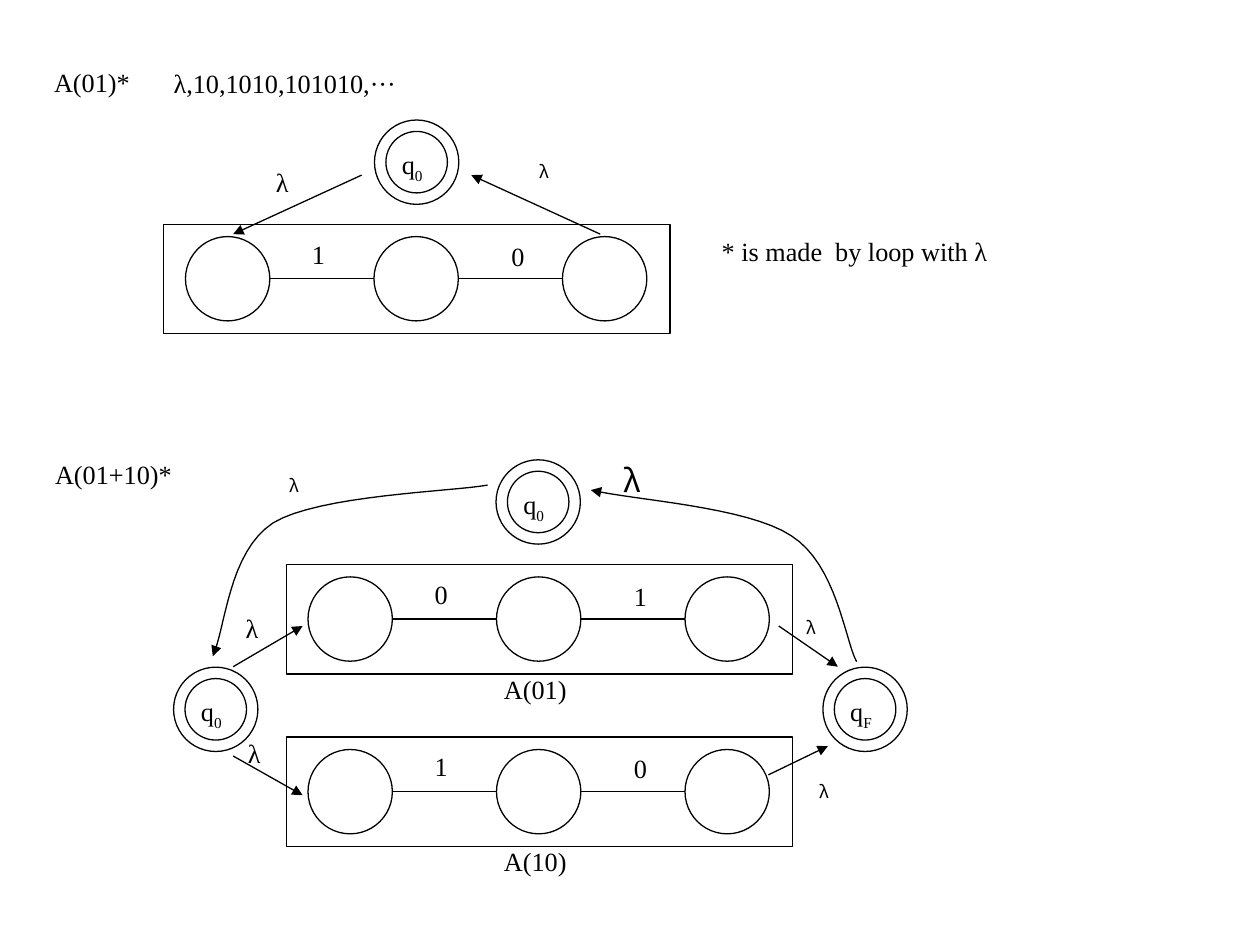
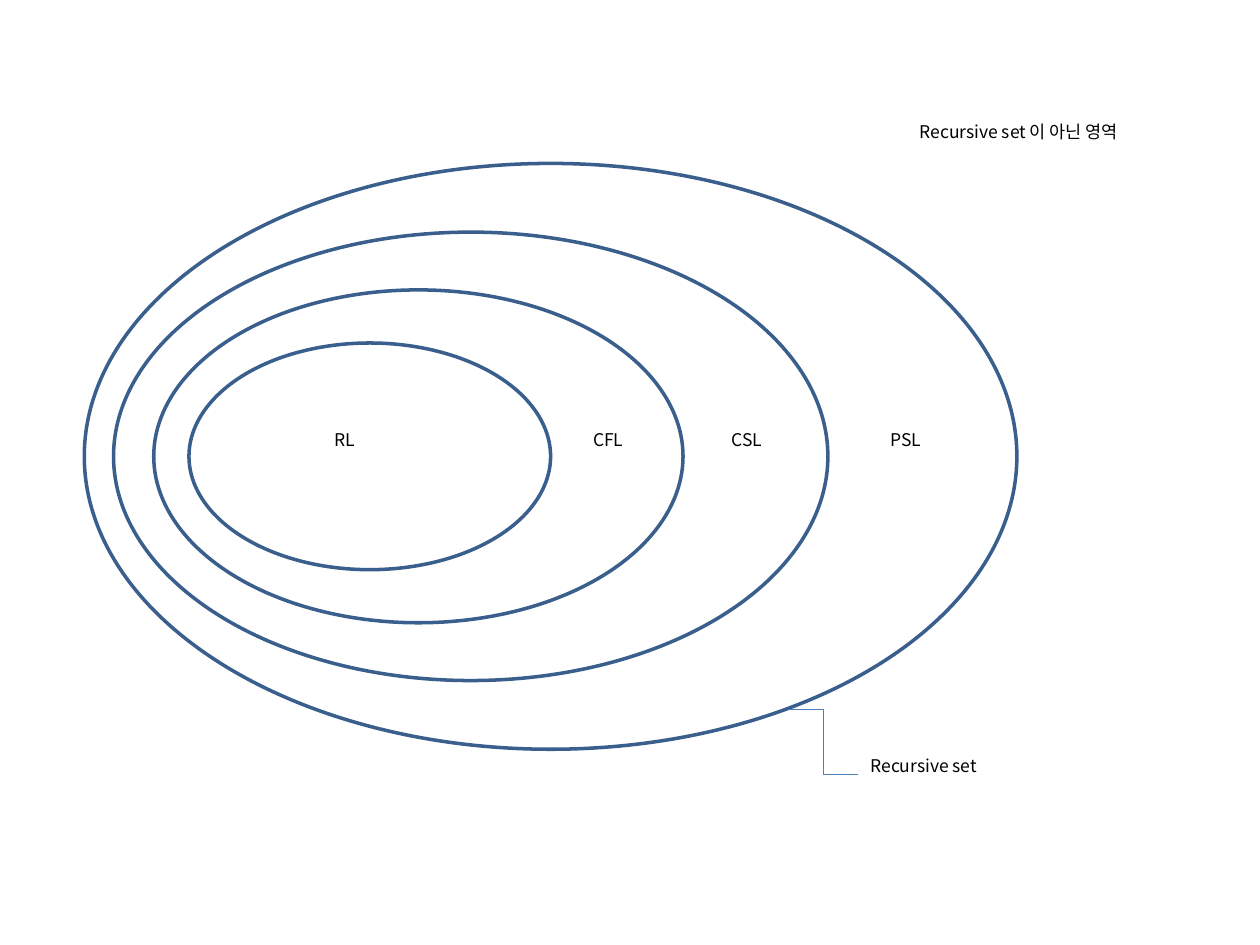
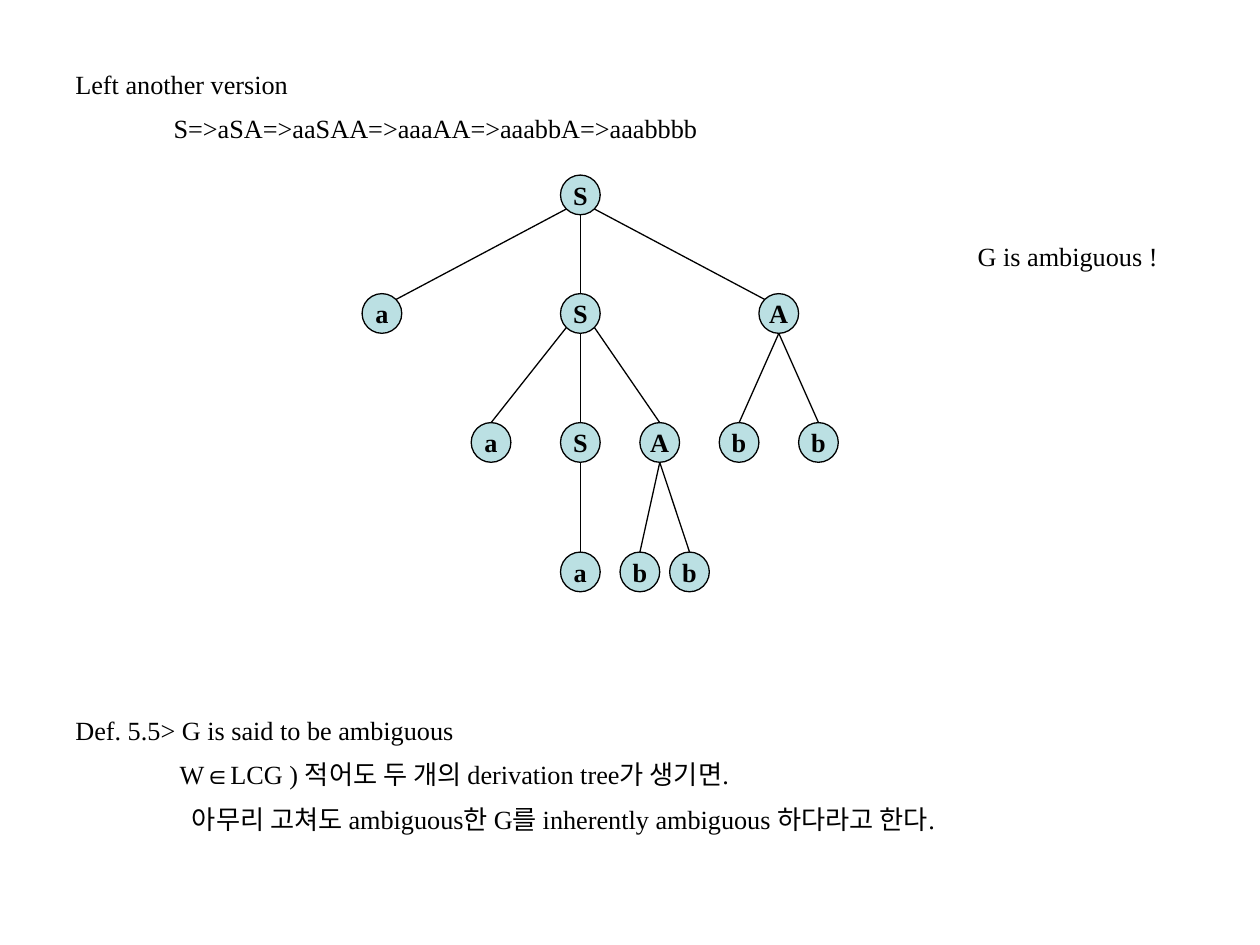
import lxml.etree
import pptx
import pptx.dml.color
import pptx.enum.shapes
import pptx.enum.text
import pptx.oxml.ns
import pptx.shapes.connector
import pptx.util

Cm = pptx.util.Cm
OVAL = pptx.enum.shapes.MSO_SHAPE.OVAL
RECTANGLE = pptx.enum.shapes.MSO_SHAPE.RECTANGLE
STRAIGHT = pptx.enum.shapes.MSO_CONNECTOR.STRAIGHT
ELBOW = pptx.enum.shapes.MSO_CONNECTOR.ELBOW
BLACK = pptx.dml.color.RGBColor(0x00, 0x00, 0x00)
NAVY = pptx.dml.color.RGBColor(0x3A, 0x5F, 0x8C)
BLUE = pptx.dml.color.RGBColor(0x4B, 0x7E, 0xBC)
PALE_TEAL = pptx.dml.color.RGBColor(0xBB, 0xE0, 0xE3)
SERIF = "Times New Roman"
SANS = "Noto Sans CJK KR"


def write(shape, text, size=15, font=SERIF, bold=False, wrap=True, centred=False,
          subscript="", indents=(0,), line_spacing=None, space_before=0):
    frame = shape.text_frame
    frame.word_wrap = wrap
    if centred:
        frame.vertical_anchor = pptx.enum.text.MSO_ANCHOR.MIDDLE
    for number, (line, indent) in enumerate(zip(text.split("\n"), indents)):
        paragraph = frame.add_paragraph() if number else frame.paragraphs[0]
        paragraph.alignment = pptx.enum.text.PP_ALIGN.CENTER if centred else pptx.enum.text.PP_ALIGN.LEFT
        paragraph.line_spacing = line_spacing
        paragraph.space_before = pptx.util.Pt(space_before)
        if indent:
            paragraph._p.get_or_add_pPr().set("marL", str(Cm(indent)))
        for part in filter(None, (line, subscript)):
            run = paragraph.add_run()
            run.text = part
            run.font.size = pptx.util.Pt(size)
            run.font.name = font
            run.font.bold = bold
            run.font.color.rgb = BLACK
            properties = run._r.get_or_add_rPr()
            lxml.etree.SubElement(properties, pptx.oxml.ns.qn("a:ea"), typeface=SANS)
            if part == subscript:
                properties.set("baseline", "-25000")


def outline(mark, color=BLACK, width=0.75, fill=None, arrow=False):
    mark.line.color.rgb = color
    mark.line.width = pptx.util.Pt(width)
    properties = mark._element.spPr
    if arrow:
        lxml.etree.SubElement(properties.get_or_add_ln(), pptx.oxml.ns.qn("a:tailEnd"), type="triangle")
    if isinstance(mark, pptx.shapes.connector.Connector):
        lxml.etree.SubElement(properties, pptx.oxml.ns.qn("a:effectLst"))
        return
    mark.shadow.inherit = False
    if fill is None:
        mark.fill.background()
    else:
        mark.fill.solid()
        mark.fill.fore_color.rgb = fill


deck = pptx.Presentation()
deck.slide_width = Cm(25.4)
deck.slide_height = Cm(19.05)
blank = deck.slide_layouts[6]

automata = deck.slides.add_slide(blank).shapes
STATE, INNER_STATE, STATE_STEP = 1.7, 1.24, 3.8

for left, top, symbols in [(3.3, 4.52, "10"), (5.77, 11.38, "01"), (5.77, 14.86, "10")]:
    outline(automata.add_shape(RECTANGLE, Cm(left), Cm(top), Cm(10.21), Cm(2.21)))
    first_state, state_top = left + 0.44, top + 0.25
    for column in range(3):
        state_left = first_state + column * STATE_STEP
        outline(automata.add_shape(OVAL, Cm(state_left), Cm(state_top), Cm(STATE), Cm(STATE)))
    for column, symbol in enumerate(symbols):
        link_left = first_state + column * STATE_STEP + STATE
        link_y = Cm(state_top + STATE / 2)
        outline(automata.add_connector(STRAIGHT, Cm(link_left), link_y,
                                       Cm(link_left + STATE_STEP - STATE), link_y))
        symbol_box = automata.add_textbox(Cm(left + 2.74 + column * 4.02), Cm(top + 0.15 + column * 0.04),
                                          Cm(0.79), Cm(0.89))
        write(symbol_box, symbol, wrap=False)

for left, top, index in [(7.55, 2.42, "0"), (10.0, 9.27, "0"), (3.5, 13.45, "0"), (16.59, 13.45, "F")]:
    inset = (STATE - INNER_STATE) / 2
    outline(automata.add_shape(OVAL, Cm(left), Cm(top), Cm(STATE), Cm(STATE)))
    outline(automata.add_shape(OVAL, Cm(left + inset), Cm(top + inset), Cm(INNER_STATE), Cm(INNER_STATE)))
    write(automata.add_textbox(Cm(left + 0.3), Cm(top + 0.45), Cm(0.97), Cm(0.89)),
          "q", subscript=index, wrap=False)

for jump in [(12.1, 4.72, 9.5, 3.53), (7.29, 3.53, 4.7, 4.72), (4.7, 13.44, 6.1, 12.62),
             (4.7, 15.24, 6.1, 16.03), (15.7, 12.62, 16.89, 13.44), (15.49, 15.62, 16.69, 15.04)]:
    outline(automata.add_connector(STRAIGHT, *map(Cm, jump)), arrow=True)

return_loop = [(17.27, 13.34), (17.04, 12.93), (16.87, 11.38), (15.95, 10.8),
               (15.06, 10.21), (12.75, 10.08), (11.91, 9.88)]
entry_loop = [(9.83, 9.78), (9.12, 9.91), (6.43, 9.98), (5.51, 10.54),
              (4.6, 11.13), (4.55, 12.67), (4.29, 13.23)]
for loop in (return_loop, entry_loop):
    path_points = []
    for start in (0, 3):
        for step in range(1, 17):
            t = step / 16
            weights = ((1 - t) ** 3, 3 * t * (1 - t) ** 2, 3 * t ** 2 * (1 - t), t ** 3)
            path_points.append([Cm(sum(w * point[axis] for w, point in zip(weights, loop[start:start + 4])))
                                for axis in (0, 1)])
    builder = automata.build_freeform(*map(Cm, loop[0]))
    builder.add_line_segments(path_points, close=False)
    outline(builder.convert_to_shape(), arrow=True)

for text, box, size, font, wrap in [
    ("A(01)*", (0.84, 1.22, 2.03, 0.89), 15, SERIF, False),
    ("λ,10,1010,101010,···", (3.25, 1.24, 7.04, 0.89), 15, SERIF, True),
    ("* is made  by loop with λ", (14.3, 4.62, 6.05, 0.89), 15, SERIF, False),
    ("A(01+10)*", (0.86, 9.12, 2.9, 0.89), 15, SERIF, False),
    ("A(01)", (9.91, 13.44, 1.78, 0.89), 15, SERIF, False),
    ("A(10)", (9.91, 16.92, 1.78, 0.89), 15, SERIF, False),
    ("λ", (4.7, 12.22, 1.14, 1.55), 15, SERIF, True),
    ("λ", (4.75, 14.73, 1.14, 1.55), 15, SERIF, True),
    ("λ", (5.31, 3.23, 1.14, 1.55), 15, SERIF, True),
    ("λ", (10.62, 3.12, 1.88, 0.69), 10, SANS, True),
    ("λ", (5.59, 9.45, 1.19, 0.69), 10, SANS, True),
    ("λ", (12.32, 9.17, 0.76, 0.69), 18, SANS, False),
    ("λ", (16.0, 12.32, 1.17, 0.69), 10, SANS, True),
    ("λ", (16.28, 15.62, 2.11, 0.69), 10, SANS, True),
]:
    write(automata.add_textbox(*map(Cm, box)), text, size=size, font=font, wrap=wrap)

hierarchy = deck.slides.add_slide(blank).shapes
SETS_MIDDLE = 9.2

for left, width, height in [(1.7, 18.8, 11.81), (2.29, 14.4, 9.04), (3.1, 10.67, 6.71), (3.81, 7.29, 4.57)]:
    language_set = hierarchy.add_shape(OVAL, Cm(left), Cm(SETS_MIDDLE - height / 2), Cm(width), Cm(height))
    outline(language_set, color=NAVY, width=2)

for text, left, top, width in [("RL", 6.5, 8.53, 1.83), ("CFL", 11.71, 8.53, 2.39), ("CSL", 14.5, 8.53, 2.39),
                               ("PSL", 17.7, 8.53, 2.39), ("Recursive set", 17.3, 15.09, 4.8),
                               ("Recursive set 이 아닌 영역", 18.29, 2.31, 5.21)]:
    write(hierarchy.add_textbox(Cm(left), Cm(top), Cm(width), Cm(0.69)), text, size=10, font=SANS)

outline(hierarchy.add_connector(ELBOW, Cm(15.9), Cm(14.3), Cm(17.3), Cm(15.62)), color=BLUE)

derivation = deck.slides.add_slide(blank).shapes

for text, box, indents in [
    ("Left another version\nS=>aSA=>aaSAA=>aaaAA=>aaabbA=>aaabbbb", (1.27, 1.12, 22.86, 2.0), (0, 1.98)),
    ("G is ambiguous !", (19.46, 4.59, 4.67, 1.0), (0,)),
    ("Def. 5.5> G is said to be ambiguous\n"
     "W∈LCG ) 적어도 두 개의 derivation tree가 생기면.\n"
     "아무리 고쳐도 ambiguous한 G를 inherently ambiguous 하다라고 한다.",
     (1.27, 14.14, 22.86, 2.8), (0, 2.1, 2.35)),
]:
    write(derivation.add_textbox(*map(Cm, box)), text, indents=indents, line_spacing=1.2, space_before=3.9)

RADIUS = 0.4
DIAGONAL = RADIUS * 0.71
level_middles = [3.93, 6.32, 8.92, 11.53]
tree = [
    ("S", 11.7, 0, None, 0, 0),
    ("a", 7.7, 1, 0, -1, 1),
    ("S", 11.7, 1, 0, 0, 0),
    ("A", 15.7, 1, 0, 1, -1),
    ("a", 9.9, 2, 2, -1, 0),
    ("S", 11.7, 2, 2, 0, 0),
    ("A", 13.3, 2, 2, 1, 0),
    ("b", 14.9, 2, 3, 0, 0),
    ("b", 16.5, 2, 3, 0, 0),
    ("a", 11.7, 3, 5, 0, 0),
    ("b", 12.9, 3, 6, 0, 0),
    ("b", 13.9, 3, 6, 0, 0),
]
for letter, x, level, parent, parent_side, child_side in tree:
    y = level_middles[level]
    node = derivation.add_shape(OVAL, Cm(x - RADIUS), Cm(y - RADIUS), Cm(2 * RADIUS), Cm(2 * RADIUS))
    outline(node, fill=PALE_TEAL)
    write(node, letter, bold=True, wrap=False, centred=True)
    if parent is not None:
        parent_x, parent_y = tree[parent][1], level_middles[level - 1]
        outline(derivation.add_connector(
            STRAIGHT,
            Cm(parent_x + parent_side * DIAGONAL), Cm(parent_y + (DIAGONAL if parent_side else RADIUS)),
            Cm(x + child_side * DIAGONAL), Cm(y - (DIAGONAL if child_side else RADIUS))))

deck.save("out.pptx")
